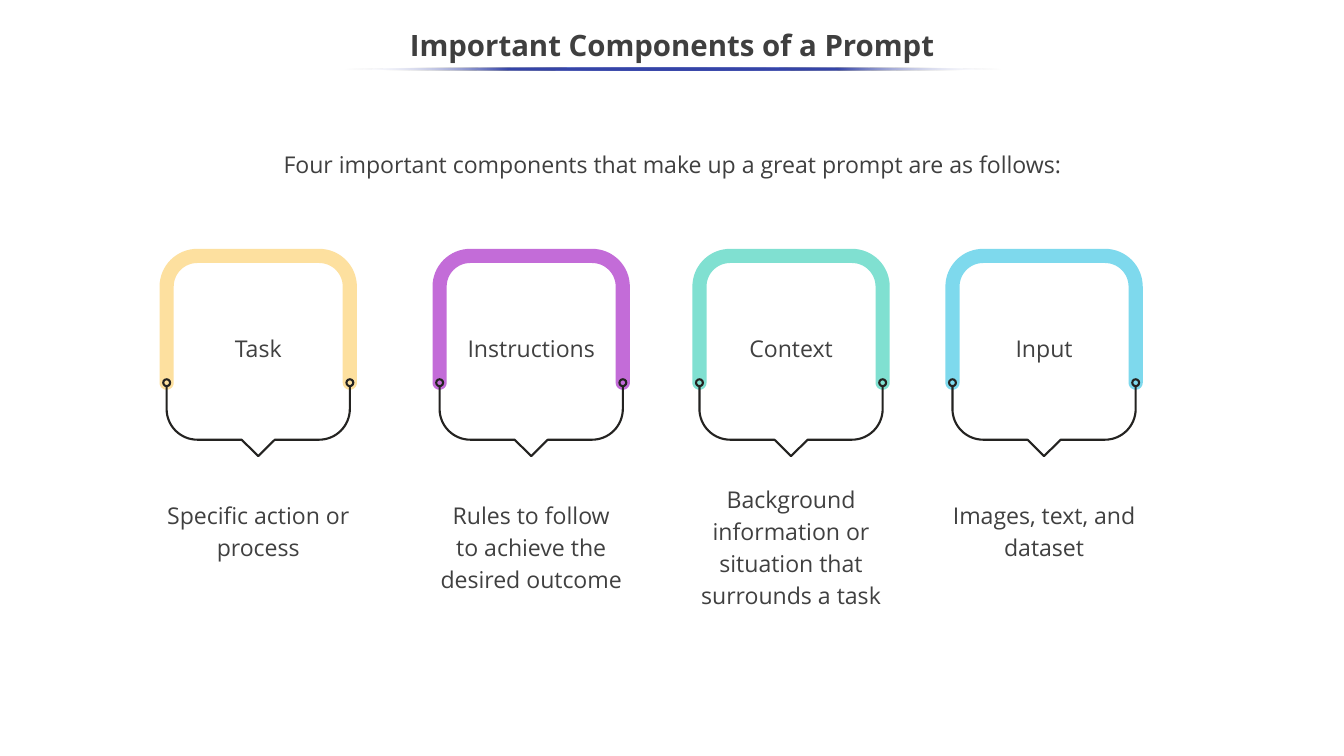
import math

from lxml import etree
from pptx import Presentation
from pptx import util as u
from pptx.dml import color as colors
from pptx.enum import shapes, text
from pptx.oxml import ns

FONT = "Open Sans"
HEADING = "3F3F3F"
BODY = "404040"
INK = "242321"
ACCENT = "3645A9"

CARD_WIDTH = 188
CARD_TOP = 237
BAND = 13.5
CORNER = 36
RING_CENTER = 127.5
RING_SIZE = 8.6
BUBBLE_BOTTOM = 181.8
NOTCH_HALF = 15.8
NOTCH_DEPTH = 15.6

CARDS = [
    (152, "FDE09F", "Task", "Specific action or process", 188, 470, 67),
    (412, "C36CD8", "Instructions", "Rules to follow to achieve the desired outcome", 188, 470, 97),
    (659.5, "80E0D1", "Context", "Background information or situation that surrounds a task", 225, 455, 128),
    (900.5, "7ED9ED", "Input", "Images, text, and dataset", 220, 470, 67),
]


def rgb(value):
    return colors.RGBColor.from_string(value)


def add_text(slide, box, content, size=22, color=BODY, bold=False, spacing=1.15,
             anchor=text.MSO_ANCHOR.TOP):
    shape = slide.shapes.add_textbox(*[u.Pt(value) for value in box])
    frame = shape.text_frame
    frame.word_wrap = True
    frame.vertical_anchor = anchor
    paragraph = frame.paragraphs[0]
    paragraph.alignment = text.PP_ALIGN.CENTER
    paragraph.line_spacing = spacing
    run = paragraph.add_run()
    run.text = content
    run.font.name = FONT
    run.font.size = u.Pt(size)
    run.font.bold = bold
    run.font.color.rgb = rgb(color)


def arc(center_x, center_y, radius, start, end, steps=16):
    angles = [math.radians(start + (end - start) * step / steps) for step in range(steps + 1)]
    return [(center_x + radius * math.cos(a), center_y + radius * math.sin(a)) for a in angles]


def add_outline(slide, left, top, points, close):
    points = [(u.Pt(left + x), u.Pt(top + y)) for x, y in points]
    builder = slide.shapes.build_freeform(*points[0])
    builder.add_line_segments(points[1:], close=close)
    shape = builder.convert_to_shape()
    shape.shadow.inherit = False
    return shape


def add_arch(slide, left, top, width, color):
    cap = BAND / 2
    inner = CORNER - BAND
    right = width - CORNER
    points = (
        arc(CORNER, CORNER, CORNER, 180, 270)
        + arc(right, CORNER, CORNER, 270, 360)
        + arc(width - cap, RING_CENTER, cap, 0, 180)
        + arc(right, CORNER, inner, 360, 270)
        + arc(CORNER, CORNER, inner, 270, 180)
        + arc(cap, RING_CENTER, cap, 0, 180)
    )
    shape = add_outline(slide, left, top, points, True)
    shape.fill.solid()
    shape.fill.fore_color.rgb = rgb(color)
    shape.line.fill.background()


def add_bubble(slide, left, top, width):
    edge = BAND / 2
    radius = CORNER - edge
    start = RING_CENTER + RING_SIZE / 2 - 1
    middle = width / 2
    center_y = BUBBLE_BOTTOM - radius
    points = (
        [(edge, start)]
        + arc(CORNER, center_y, radius, 180, 90)
        + [(middle - NOTCH_HALF, BUBBLE_BOTTOM),
           (middle, BUBBLE_BOTTOM + NOTCH_DEPTH),
           (middle + NOTCH_HALF, BUBBLE_BOTTOM)]
        + arc(width - CORNER, center_y, radius, 90, 0)
        + [(width - edge, start)]
    )
    shape = add_outline(slide, left, top, points, False)
    shape.fill.background()
    shape.line.color.rgb = rgb(INK)
    shape.line.width = u.Pt(2)


def add_ring(slide, center_x, center_y):
    half = RING_SIZE / 2
    shape = slide.shapes.add_shape(
        shapes.MSO_SHAPE.DONUT, u.Pt(center_x - half), u.Pt(center_y - half),
        u.Pt(RING_SIZE), u.Pt(RING_SIZE))
    shape.adjustments[0] = 0.24
    shape.shadow.inherit = False
    shape.fill.solid()
    shape.fill.fore_color.rgb = rgb(INK)
    shape.line.fill.background()


def add_card(slide, left, top, width, color, label):
    add_arch(slide, left, top, width, color)
    add_bubble(slide, left, top, width)
    for x in (BAND / 2, width - BAND / 2):
        add_ring(slide, left + x, top + RING_CENTER)
    add_text(slide, (left + 10, top + 74, width - 20, 36), label)


def add_caption(slide, center_x, top, width, height, content):
    add_text(slide, (center_x - width / 2, top, width, height), content)


def add_underline(slide, left, top, width, height):
    shape = slide.shapes.add_shape(
        shapes.MSO_SHAPE.OVAL, u.Pt(left), u.Pt(top), u.Pt(width), u.Pt(height))
    shape.shadow.inherit = False
    shape.line.fill.background()
    shape.fill.gradient()
    shape.fill.gradient_angle = 180
    stops = shape.element.spPr.find(".//" + ns.qn("a:gsLst"))
    for stop in list(stops):
        stops.remove(stop)
    for position, color in ((0, "FFFFFF"), (25, ACCENT), (50, ACCENT), (75, ACCENT), (100, "FFFFFF")):
        stop = etree.SubElement(stops, ns.qn("a:gs"), pos=str(position * 1000))
        fill = etree.SubElement(stop, ns.qn("a:srgbClr"), val=color)
        if color != ACCENT:
            etree.SubElement(fill, ns.qn("a:alpha"), val="0")


def add_header(slide, left, top, width):
    add_underline(slide, left + (width - 625) / 2 + 1, top + 46, 625, 3)
    add_text(slide, (left, top, width, 54), "Important Components of a Prompt",
             28, HEADING, True, 0.9, text.MSO_ANCHOR.MIDDLE)
    add_text(slide, (left + 101.5, top + 101, width - 202, 71),
             "Four important components that make up a great prompt are as follows:",
             color=HEADING, anchor=text.MSO_ANCHOR.MIDDLE)


def main():
    presentation = Presentation()
    presentation.slide_width = u.Pt(1280.16)
    presentation.slide_height = u.Pt(720)
    slide = presentation.slides.add_slide(presentation.slide_layouts[6])
    add_header(slide, 0, 18, 1280)
    for left, color, label, caption, width, top, height in CARDS:
        add_card(slide, left, CARD_TOP, CARD_WIDTH, color, label)
        add_caption(slide, left + CARD_WIDTH / 2, top, width, height, caption)
    presentation.save("out.pptx")


if __name__ == "__main__":
    main()
